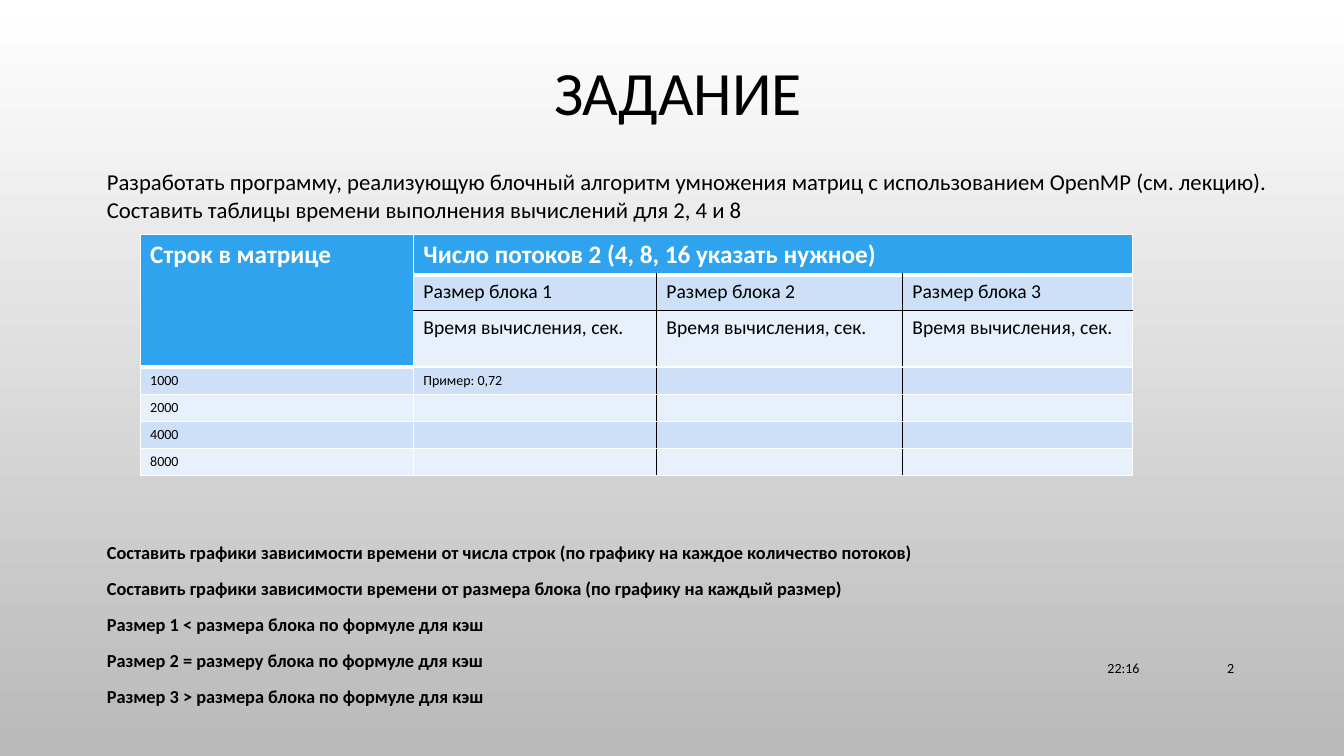
from dataclasses import dataclass

import pptx
import pptx.dml.color
import pptx.enum.text
import pptx.oxml.ns
import pptx.util
from lxml import etree
from pptx.util import Inches

RGB = pptx.dml.color.RGBColor.from_string
ALIGN = pptx.enum.text.PP_ALIGN
ANCHOR = pptx.enum.text.MSO_ANCHOR
qn = pptx.oxml.ns.qn


@dataclass(frozen=True)
class Theme:
    font: str = "Calibri"
    black: str = "000000"
    white: str = "FFFFFF"
    background_end: str = "B9B9B9"
    header: str = "2FA3EE"
    bands: tuple = ("CDE0F8", "E8F0FC")
    title_size: float = 44
    intro_size: float = 16.2
    tasks_size: float = 13.1
    header_size: float = 18
    subheader_size: float = 14
    small_size: float = 10


THEME = Theme()
BODY_INDENT = 0.22
COLUMN_WIDTHS = (2.71, 2.41, 2.44, 2.28)
ROW_HEIGHTS = (0.39, 0.35, 0.56) + (0.27,) * 4
HEADER_ROWS = 3
TIMING_ROWS = [
    ["Строк в матрице", "Число потоков 2 (4, 8, 16 указать нужное)", "", ""],
    [""] + [f"Размер блока {number}" for number in (1, 2, 3)],
    [""] + ["Время вычисления, сек."] * 3,
    ["1000", "Пример: 0,72", "", ""],
    ["2000", "", "", ""],
    ["4000", "", "", ""],
    ["8000", "", "", ""],
]
INTRO = ("Разработать программу, реализующую блочный алгоритм умножения матриц "
         "с использованием OpenMP (см. лекцию). Составить таблицы времени "
         "выполнения вычислений для 2, 4 и 8")
TASKS = [
    "Составить графики зависимости времени от числа строк (по графику на каждое количество потоков)",
    "Составить графики зависимости времени от размера блока (по графику на каждый размер)",
    "Размер 1 < размера блока по формуле для кэш",
    "Размер 2 = размеру блока по формуле для кэш",
    "Размер 3 > размера блока по формуле для кэш",
]


def format_run(run, size, color=THEME.black, bold=False):
    run.font.name = THEME.font
    run.font.size = pptx.util.Pt(size)
    run.font.bold = bold
    run.font.color.rgb = RGB(color)


def add_text(slide, box, lines, size, align=ALIGN.LEFT, anchor=ANCHOR.TOP,
             bold=False, indent=0.1, gap=0, line_spacing=1.0):
    frame = slide.shapes.add_textbox(*map(Inches, box)).text_frame
    frame.word_wrap = True
    frame.vertical_anchor = anchor
    frame.margin_left = Inches(indent)
    frame.text = "\n".join(lines)
    for index, paragraph in enumerate(frame.paragraphs):
        paragraph.alignment = align
        paragraph.line_spacing = line_spacing
        paragraph.space_before = pptx.util.Pt(gap if index else 0)
        for run in paragraph.runs:
            format_run(run, size, bold=bold)


def set_borders(cell, row, column):
    """Black rules separate the block sizes; all other edges are white."""
    is_header = row == 0 or (column == 0 and row < HEADER_ROWS)
    in_blocks = row > 0
    edges = {
        "a:lnL": (in_blocks and column > 1, 1),
        "a:lnR": (in_blocks and column in (1, 2), 1),
        "a:lnT": (row == 2 and column > 0, 1),
        "a:lnB": (row == 1 and column > 0, 3 if is_header else 1),
    }
    properties = cell._tc.get_or_add_tcPr()
    for position, (tag, (is_black, width)) in enumerate(edges.items()):
        line = etree.Element(qn(tag), w=str(pptx.util.Pt(width)))
        fill = etree.SubElement(line, qn("a:solidFill"))
        color = THEME.black if is_black else THEME.white
        etree.SubElement(fill, qn("a:srgbClr"), val=color)
        properties.insert(position, line)


def fill_cell(cell, text, row, column):
    is_header = row == 0 or (column == 0 and row < HEADER_ROWS)
    if is_header:
        size, color = THEME.header_size, THEME.white
    else:
        size = THEME.subheader_size if row < HEADER_ROWS else THEME.small_size
        color = THEME.black
    cell.fill.solid()
    cell.fill.fore_color.rgb = RGB(
        THEME.header if is_header else THEME.bands[(row - 1) % 2])
    set_borders(cell, row, column)
    paragraph = cell.text_frame.paragraphs[0]
    if text:
        paragraph.text = text
        format_run(paragraph.runs[0], size, color, is_header)
    else:
        # The end mark keeps empty rows as low as the filled ones
        etree.SubElement(paragraph._p, qn("a:endParaRPr"),
                         sz=str(int(THEME.small_size * 100)))


def add_timing_table(slide, left, top):
    table = slide.shapes.add_table(
        len(ROW_HEIGHTS), len(COLUMN_WIDTHS), Inches(left), Inches(top),
        Inches(sum(COLUMN_WIDTHS)), Inches(sum(ROW_HEIGHTS))).table
    for column, width in zip(table.columns, COLUMN_WIDTHS):
        column.width = Inches(width)
    for row, height in zip(table.rows, ROW_HEIGHTS):
        row.height = Inches(height)
    for row, texts in enumerate(TIMING_ROWS):
        for column, text in enumerate(texts):
            fill_cell(table.cell(row, column), text, row, column)
    table.cell(0, 0).merge(table.cell(HEADER_ROWS - 1, 0))
    table.cell(0, 1).merge(table.cell(0, 3))


def set_background(slide):
    fill = slide.background.fill
    fill.gradient()
    fill.gradient_angle = 270
    for stop, color in zip(fill.gradient_stops, (THEME.white, THEME.background_end)):
        stop.color.rgb = RGB(color)


def main():
    deck = pptx.Presentation()
    deck.slide_width, deck.slide_height = Inches(13.33), Inches(7.5)
    slide = deck.slides.add_slide(deck.slide_layouts[6])
    set_background(slide)

    # Title and assignment
    add_text(slide, (1, 0.5, 11.33, 0.89), ["ЗАДАНИЕ"], THEME.title_size,
             ALIGN.CENTER, ANCHOR.MIDDLE, indent=BODY_INDENT, line_spacing=0.9)
    add_text(slide, (0.84, 1.62, 11.97, 0.65), [INTRO], THEME.intro_size,
             indent=BODY_INDENT)

    # Timing table and follow-up tasks
    add_timing_table(slide, 1.39, 2.33)
    add_text(slide, (0.84, 5.32, 11.97, 1.91), TASKS, THEME.tasks_size,
             bold=True, indent=BODY_INDENT, gap=10)

    # Footer: time and slide number
    for left, width, text in ((8.4, 3, "22:16"), (11.5, 0.84, "2")):
        add_text(slide, (left, 6.43, width, 0.4), [text], THEME.small_size,
                 ALIGN.RIGHT, ANCHOR.MIDDLE)

    deck.save("out.pptx")


if __name__ == "__main__":
    main()
